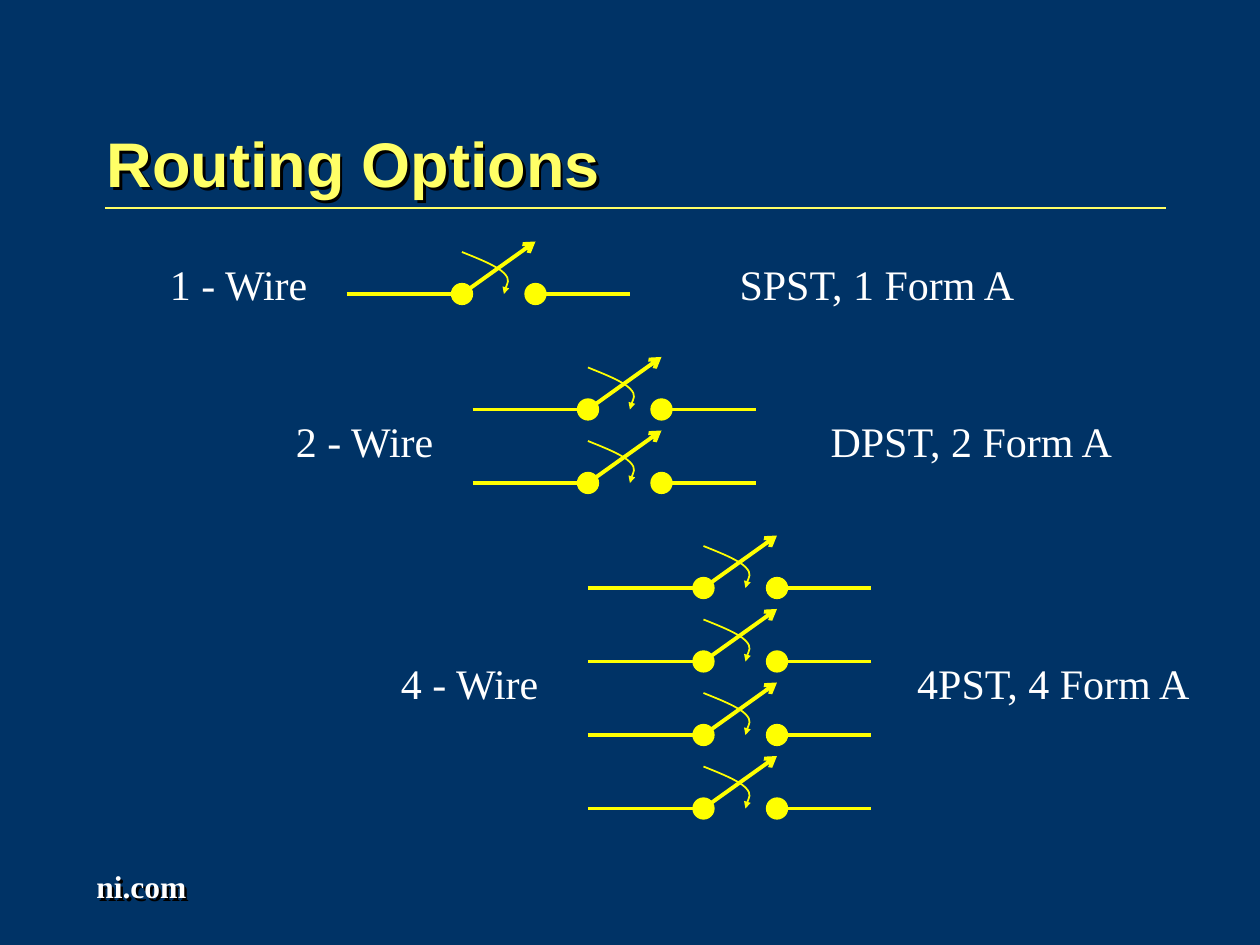
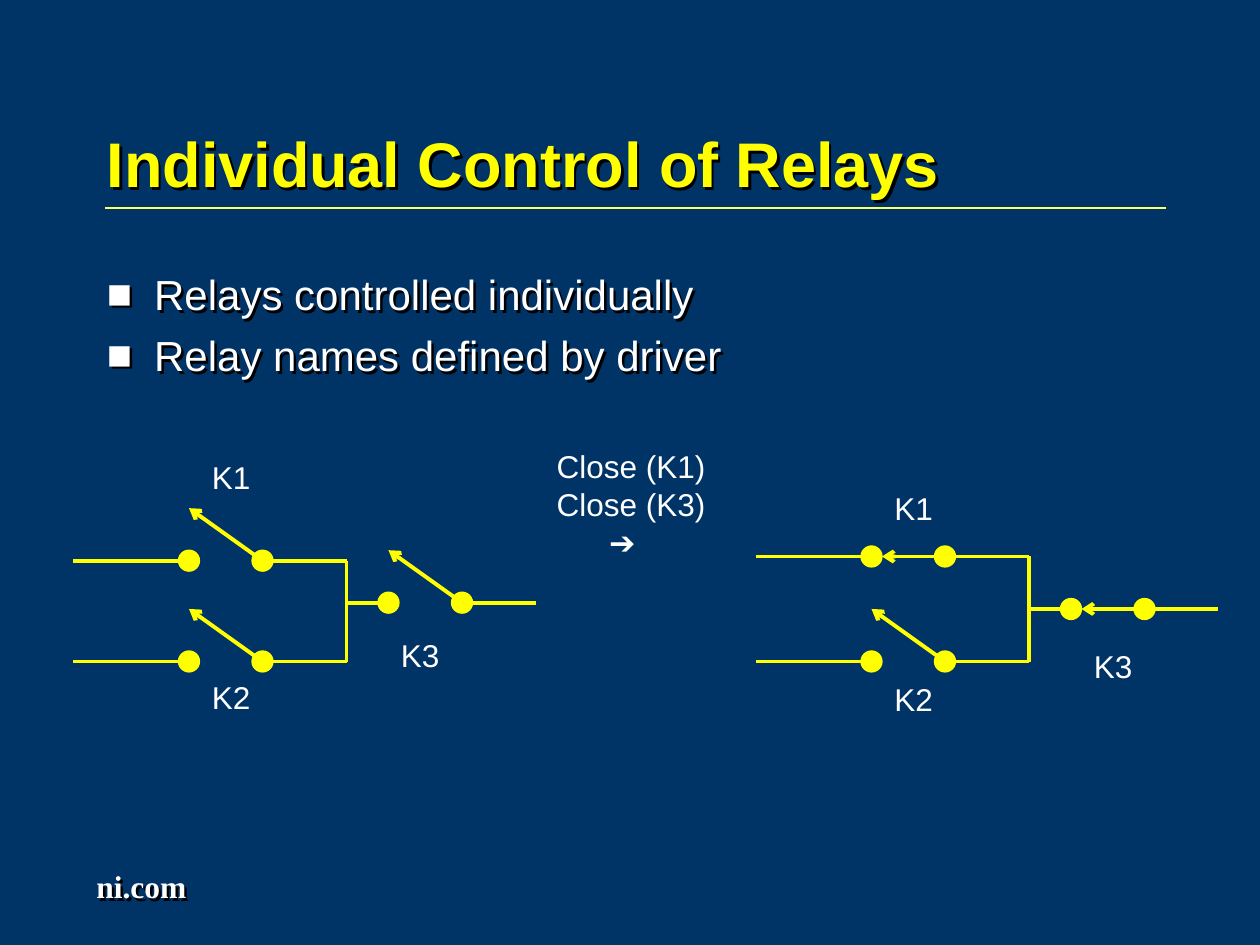
from dataclasses import dataclass

from lxml import etree
from pptx import Presentation
from pptx.dml.color import RGBColor
from pptx.enum import shapes, text
from pptx.oxml import ns
from pptx.util import Pt


@dataclass(frozen=True)
class Theme:
    background: str = "003366"
    rule: str = "FFFF66"
    wire: str = "FFFF00"
    body: str = "FFFFFF"
    shadow: str = "000000"
    sans: str = "Arial"
    serif: str = "Times New Roman"
    title_size: float = 36
    body_size: float = 24
    label_size: float = 18
    wire_weight: float = 2.25
    thin_weight: float = 1
    dot_weight: float = 0.75


THEME = Theme()
GAP = 42
RISE = 30
DOT = 12
ROW_STEP = 42


def child(parent, tag, **attributes):
    return etree.SubElement(parent, ns.qn(tag), **attributes)


class Deck:
    def __init__(self, theme):
        self.theme = theme
        self.show = Presentation()
        self.show.slide_width, self.show.slide_height = Pt(720), Pt(540)
        self.slide = None

    def new_slide(self, title, title_color):
        theme = self.theme
        self.slide = self.show.slides.add_slide(self.show.slide_layouts[6])
        backdrop = self.slide.background.fill
        backdrop.solid()
        backdrop.fore_color.rgb = RGBColor.from_string(theme.background)
        self.line((60, 118.8), (666, 118.8), theme.rule, theme.thin_weight)
        self.text(["ni.com"], 48, 492, 90, 28.8, theme.label_size,
                  font=theme.serif, bold=True, shadow=True)
        self.text([title], 54, 48, 612, 90, theme.title_size, color=title_color,
                  bold=True, shadow=True, anchor=text.MSO_ANCHOR.MIDDLE)

    def text(self, lines, left, top, width, height, size, font=None, color=None,
             bold=False, shadow=False, anchor=text.MSO_ANCHOR.TOP,
             bullet=None, space=0):
        box = self.slide.shapes.add_textbox(Pt(left), Pt(top), Pt(width), Pt(height))
        if shadow:
            self.cast_shadow(box)
        frame = box.text_frame
        frame.word_wrap = True
        frame.vertical_anchor = anchor
        for index, words in enumerate(lines):
            paragraph = frame.paragraphs[0] if index == 0 else frame.add_paragraph()
            if bullet:
                self.bullet(paragraph, bullet)
            if index and space:
                paragraph.space_before = Pt(space)
            self.run(paragraph, words, size, font or self.theme.sans,
                     color or self.theme.body, bold)
        return frame

    def run(self, paragraph, words, size, font, color, bold):
        run = paragraph.add_run()
        run.text = words
        run.font.size = Pt(size)
        run.font.name = font
        run.font.bold = bold
        run.font.color.rgb = RGBColor.from_string(color)

    def cast_shadow(self, box):
        effects = child(box._element.spPr, "a:effectLst")
        cast = child(effects, "a:outerShdw", blurRad="0", dist=str(Pt(2)),
                     dir="2700000", algn="tl", rotWithShape="0")
        child(cast, "a:srgbClr", val=self.theme.shadow)

    def bullet(self, paragraph, mark):
        properties = paragraph._p.get_or_add_pPr()
        self.indent(paragraph, 27, -27)
        color = child(properties, "a:buClr")
        child(color, "a:srgbClr", val=self.theme.body)
        child(properties, "a:buFont", typeface=self.theme.sans)
        child(properties, "a:buChar", char=mark)

    def indent(self, paragraph, margin, first=0):
        properties = paragraph._p.get_or_add_pPr()
        properties.set("marL", str(Pt(margin)))
        properties.set("indent", str(Pt(first)))

    def line(self, start, end, color=None, weight=None, tip=None):
        link = self.slide.shapes.add_connector(
            shapes.MSO_CONNECTOR.STRAIGHT, *map(Pt, start), *map(Pt, end))
        self.stroke(link, color or self.theme.wire, weight or self.theme.wire_weight, tip)
        child(link._element.spPr, "a:effectLst")

    def stroke(self, shape, color, weight, tip=None, tip_size="med"):
        shape.line.color.rgb = RGBColor.from_string(color)
        shape.line.width = Pt(weight)
        if tip:
            child(shape._element.spPr.find(ns.qn("a:ln")), "a:tailEnd",
                  type=tip, w=tip_size, len=tip_size)

    def dot(self, x, y):
        dot = self.slide.shapes.add_shape(
            shapes.MSO_SHAPE.OVAL, Pt(x - DOT / 2), Pt(y - DOT / 2), Pt(DOT), Pt(DOT))
        dot.shadow.inherit = False
        dot.fill.solid()
        dot.fill.fore_color.rgb = RGBColor.from_string(self.theme.wire)
        self.stroke(dot, self.theme.wire, self.theme.dot_weight)

    def swing(self, x, y):
        offsets = [(10, 4), (20, 8), (24, 12), (28, 16), (24, 22), (24, 24)]
        builder = self.slide.shapes.build_freeform(Pt(x), Pt(y))
        builder.add_line_segments([(Pt(x + dx), Pt(y + dy)) for dx, dy in offsets],
                                  close=False)
        arc = builder.convert_to_shape()
        arc.shadow.inherit = False
        arc.fill.background()
        self.stroke(arc, self.theme.wire, self.theme.thin_weight, "triangle", "sm")
        outline = next(arc._element.iter(ns.qn("a:path")))
        segments = outline.findall(ns.qn("a:lnTo"))
        for first in range(0, len(segments), 3):
            curve = child(outline, "a:cubicBezTo")
            for segment in segments[first:first + 3]:
                curve.append(segment[0])
                outline.remove(segment)

    def switch(self, x, y, lead_in, lead_out, pivot_right=False, closed=False):
        right = x + GAP
        self.line((x - lead_in, y), (x, y))
        self.line((right, y), (right + lead_out, y))
        pivot, contact = (right, x) if pivot_right else (x, right)
        tip = (contact + DOT / 2, y) if closed else (contact, y - RISE)
        self.line((pivot, y), tip, tip="arrow")
        self.dot(x, y)
        self.dot(right, y)

    def circuit(self, x, k1_y, k2_y, k3_y, bus_weight, closed=()):
        bus = x + 90
        for name, contact, y, lead_in, lead_out in (
                ("K1", x, k1_y, 66, 48),
                ("K2", x, k2_y, 66, 48),
                ("K3", bus + 24, k3_y, 24, 42)):
            self.switch(contact, y, lead_in, lead_out, True, name in closed)
        self.line((bus, k1_y), (bus, k2_y), weight=bus_weight)


def routing_options(deck):
    theme = deck.theme
    deck.new_slide("Routing Options", theme.rule)
    for poles, wires, forms, wires_x, forms_x, label_y, x, first_y in (
            (1, "1 - Wire", "SPST, 1 Form A", 90, 415.5, 144, 264, 168),
            (2, "2 - Wire", "DPST, 2 Form A", 162, 467.5, 234, 336, 234),
            (4, "4 - Wire", "4PST, 4 Form A", 222, 517, 372, 402, 336)):
        for pole in range(poles):
            y = first_y + pole * ROW_STEP
            deck.switch(x, y, 66, 54)
            deck.swing(x, y - 24)
        for words, left, width in ((wires, wires_x, 105), (forms, forms_x, 190)):
            deck.text([words], left, label_y, width, 36, theme.body_size,
                      font=theme.serif)


def individual_control(deck):
    theme = deck.theme
    deck.new_slide("Individual Control of Relays", theme.wire)
    deck.text(["Relays controlled individually", "Relay names defined by driver"],
              54, 150, 592, 110, theme.body_size, shadow=True, bullet="■", space=6)
    commands = deck.text(["Close (K1)", "Close (K3)", "➔"],
                         311, 252, 163.5, 72, theme.label_size)
    deck.indent(commands.paragraphs[-1], 30)
    deck.circuit(108, 320.4, 378, 344.4, 1.5)
    deck.circuit(498, 318, 378, 348, theme.wire_weight, closed=("K1", "K3"))
    for relay, left, top in (("K1", 114, 258), ("K2", 114, 384), ("K3", 222, 360),
                             ("K1", 504, 276), ("K2", 504, 385.2), ("K3", 618, 366)):
        deck.text([relay], left, top, 72, 28.8, theme.label_size)


def main():
    deck = Deck(THEME)
    routing_options(deck)
    individual_control(deck)
    deck.show.save("out.pptx")


if __name__ == "__main__":
    main()
